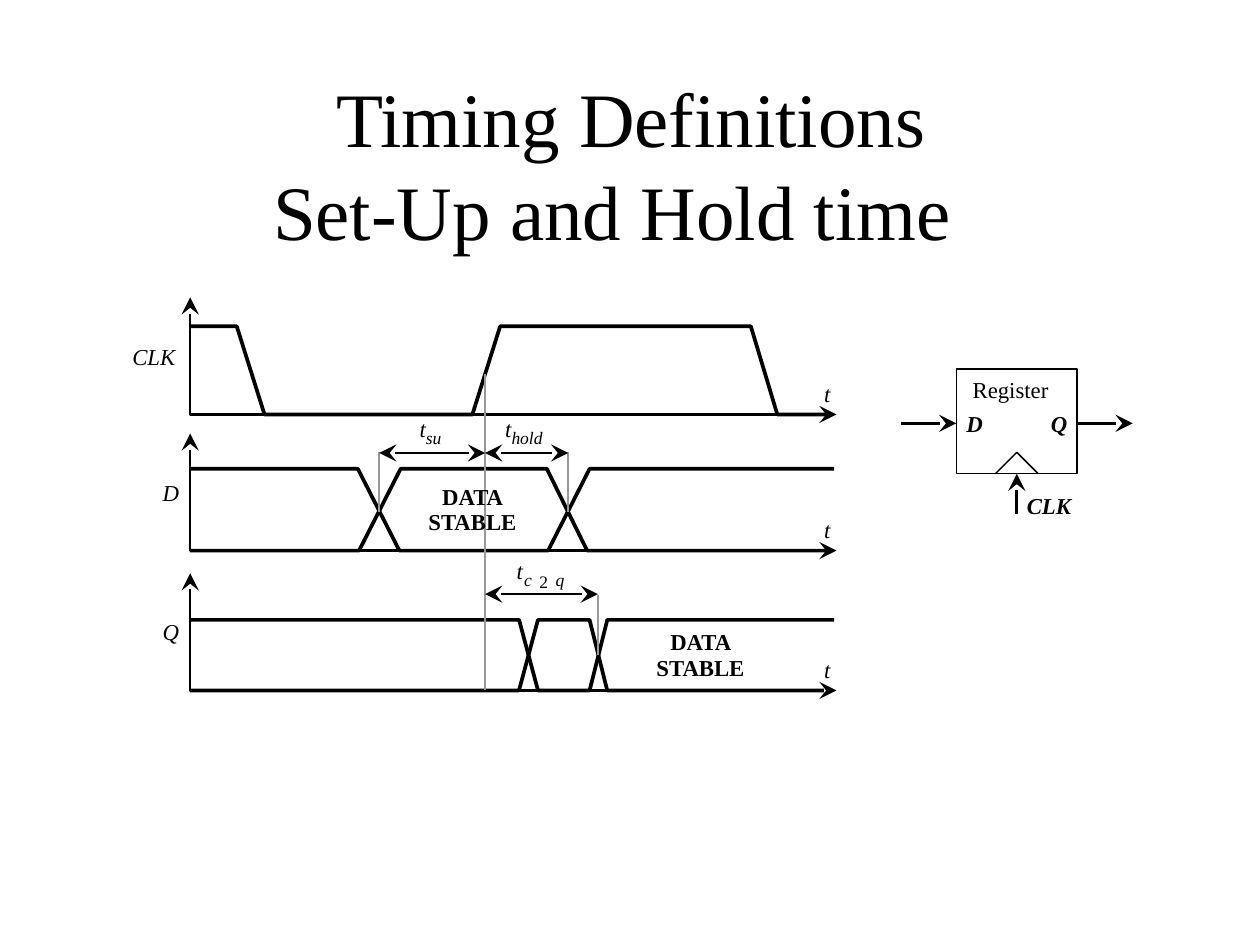
from lxml.etree import SubElement
from pptx import Presentation
from pptx.dml.color import RGBColor
from pptx.enum.shapes import MSO_CONNECTOR as Connector, MSO_SHAPE as Shape
from pptx.enum.text import MSO_ANCHOR as Anchor, MSO_AUTO_SIZE as AutoSize, PP_ALIGN as Align
from pptx.oxml.ns import qn
from pptx.util import Inches, Pt

COLORS = {"ink": "000000", "guide": "999999"}
FONT = "Times New Roman"

deck = Presentation()
deck.slide_width, deck.slide_height = Inches(10), Inches(7.5)
page = deck.slides.add_slide(deck.slide_layouts[6])
column = deck.slide_width / 100
row = deck.slide_height / 75


def style_line(shape, weight, color="ink", heads=()):
    shape.line.color.rgb = RGBColor.from_string(COLORS[color])
    shape.line.width = Pt(weight)
    outline = shape.element.spPr.find(qn("a:ln"))
    for end in heads:
        SubElement(outline, qn(f"a:{end}"), type="stealth", w="lg", len="lg")


def add_box(left, top, width, height):
    box = page.shapes.add_textbox(
        round(left * column), round(top * row), round(width * column), round(height * row))
    frame = box.text_frame
    frame.margin_left = frame.margin_right = frame.margin_top = frame.margin_bottom = 0
    return frame


title = add_box(6.1, 6.7, 85, 12.5)
title.word_wrap = True
title.vertical_anchor = Anchor.MIDDLE
for number, (words, indent) in enumerate([("Timing Definitions", 3), ("Set-Up and Hold time", 0)]):
    para = title.paragraphs[0] if number == 0 else title.add_paragraph()
    para.alignment = Align.CENTER
    para._p.get_or_add_pPr().set("marL", str(round(indent * column)))
    span = para.add_run()
    span.text = words
    span.font.name, span.font.size = FONT, Pt(44)
    span.font.color.rgb = RGBColor.from_string(COLORS["ink"])

axis_left, axis_right, wave_right = 15.1, 66.4, 66.2
clk_base, d_base, q_base = 32.9, 43.7, 54.8
clk_high, d_high, q_high = 25.9, 37.2, 49.2
both = ("headEnd", "tailEnd")

paths = [
    ([(axis_left, base - 9.3), (axis_left, base), (axis_right, base)], 1.25, both)
    for base in (clk_base, d_base, q_base)
]
paths += [
    ([(axis_left, clk_high), (18.8, clk_high), (21, clk_base), (37.5, clk_base),
      (39.7, clk_high), (59.6, clk_high), (61.7, clk_base), (65.7, clk_base)], 2.13, ()),
    ([(axis_left, d_high), (28.4, d_high), (31.7, d_base), (43.5, d_base),
      (46.8, d_high), (wave_right, d_high)], 2.13, ()),
    ([(axis_left, d_base), (28.5, d_base), (31.8, d_high), (43.4, d_high),
      (46.6, d_base), (65.6, d_base)], 2.13, ()),
    ([(axis_left, q_high), (41.2, q_high), (42.7, q_base), (46.8, q_base),
      (48.2, q_high), (wave_right, q_high)], 2.13, ()),
    ([(axis_left, q_base), (41.2, q_base), (42.7, q_high), (46.8, q_high),
      (48.2, q_base), (65.4, q_base)], 2.13, ()),
    ([(79, 37.6), (80.7, 35.9), (82.4, 37.6)], 0.88, ()),
]
for points, weight, heads in paths:
    corners = [(round(x * column), round(y * row)) for x, y in points]
    builder = page.shapes.build_freeform(*corners[0])
    builder.add_line_segments(corners[1:], close=False)
    trace = builder.convert_to_shape()
    trace.fill.background()
    trace.shadow.inherit = False
    style_line(trace, weight, heads=heads)

register = page.shapes.add_shape(
    Shape.RECTANGLE, round(75.9 * column), round(29.3 * row), round(9.6 * column), round(8.3 * row))
register.fill.background()
register.shadow.inherit = False
style_line(register, 0.88)

setup, edge, hold, valid = 30.1, 38.5, 45.1, 47.45
lines = [
    (setup, 40.6, setup, 35.9, 0.88, "guide", ()),
    (hold, 40.6, hold, 35.9, 0.88, "guide", ()),
    (edge, q_base, edge, 29.7, 0.88, "guide", ()),
    (valid, 52, valid, 47.2, 0.88, "guide", ()),
    (setup, 35.95, edge, 35.95, 0.88, "ink", both),
    (edge, 35.95, hold, 35.95, 0.88, "ink", both),
    (edge, 47.15, valid, 47.15, 0.88, "ink", both),
    (71.5, 33.6, 75.9, 33.6, 1.75, "ink", ("tailEnd",)),
    (85.5, 33.6, 89.9, 33.6, 1.75, "ink", ("tailEnd",)),
    (80.7, 40.8, 80.7, 37.6, 1.75, "ink", ("tailEnd",)),
]
for x1, y1, x2, y2, weight, color, heads in lines:
    link = page.shapes.add_connector(
        Connector.STRAIGHT, round(x1 * column), round(y1 * row), round(x2 * column), round(y2 * row))
    style_line(link, weight, color, heads)
    SubElement(link.element.spPr, qn("a:effectLst"))

labels = [("t", 65.4, base - 2.75, 0.7, 13, "i") for base in (clk_base, d_base, q_base)]
labels += [
    ("CLK", 10.5, 27.2, 3.5, 13, "i"),
    ("D", 12.9, 38, 1.3, 13, "i"),
    ("Q", 12.9, 49, 1.3, 13, "i"),
    ("t", 33.3, 32.9, 0.7, 13, "i"),
    ("su", 33.8, 33.9, 1.5, 10, "i"),
    ("t", 40.1, 32.9, 0.7, 13, "i"),
    ("hold", 40.6, 33.9, 2.9, 10, "i"),
    ("t", 41, 44.2, 0.7, 13, "i"),
    ("c", 41.6, 45.2, 0.7, 10, "i"),
    ("2", 42.8, 45.3, 0.8, 10, ""),
    ("q", 44.1, 45.2, 0.8, 10, "i"),
    ("DATA", 35.1, 38.3, 5.3, 13, "b"),
    ("STABLE", 34, 40.3, 7.2, 13, "b"),
    ("DATA", 53.2, 49.8, 5.3, 13, "b"),
    ("STABLE", 52.1, 51.9, 7.2, 13, "b"),
    ("Register", 77.2, 29.8, 7, 13, ""),
    ("D", 76.7, 32.5, 1.4, 13, "bi"),
    ("Q", 83.4, 32.5, 1.4, 13, "bi"),
    ("CLK", 81.5, 39, 3.7, 13, "bi"),
]
for words, left, top, width, size, emphasis in labels:
    frame = add_box(left, top, width, size * 0.17)
    frame.word_wrap = False
    frame.auto_size = AutoSize.SHAPE_TO_FIT_TEXT
    span = frame.paragraphs[0].add_run()
    span.text = words
    span.font.name, span.font.size = FONT, Pt(size)
    span.font.bold, span.font.italic = "b" in emphasis, "i" in emphasis
    span.font.color.rgb = RGBColor.from_string(COLORS["ink"])

deck.save("out.pptx")
